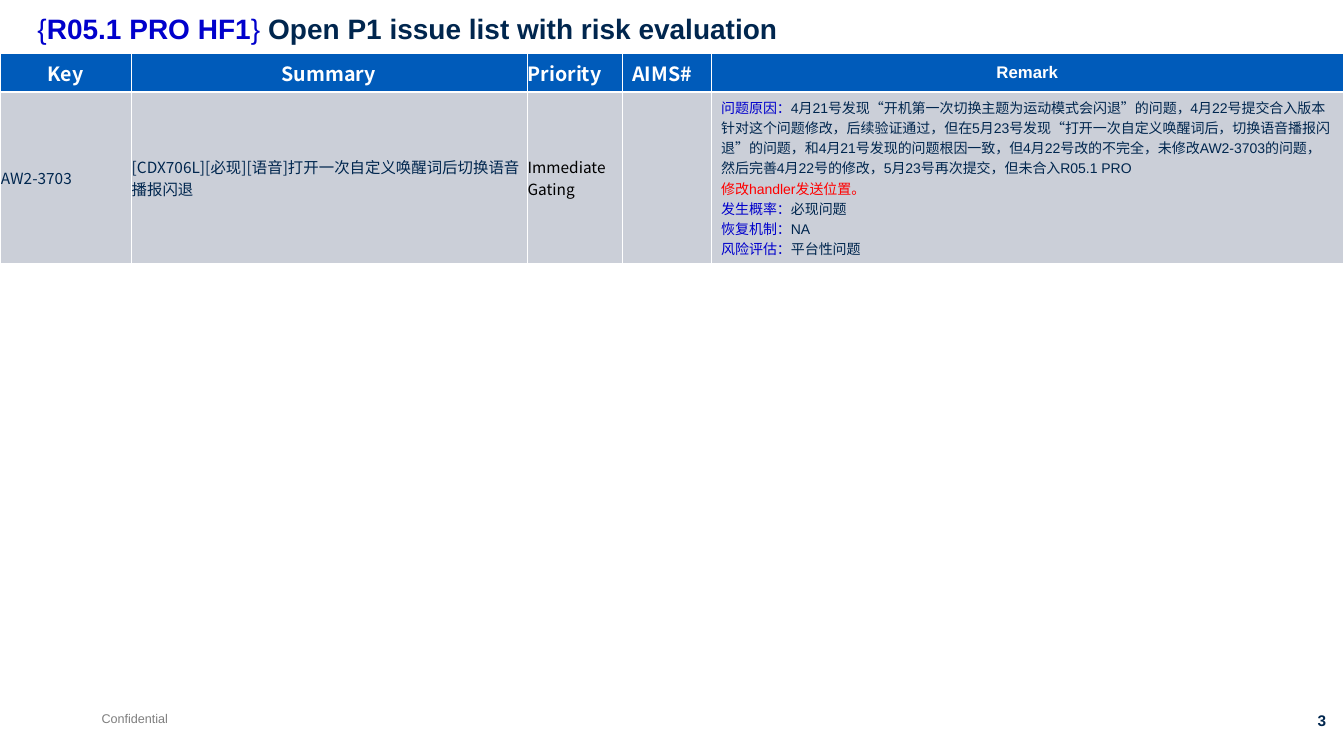
from lxml import etree
from pptx import Presentation
from pptx import util as u
from pptx.dml.color import RGBColor
from pptx.enum import text
from pptx.oxml import ns

NAVY, BLUE, WHITE, RED = "00264E", "0000CC", "FFFFFF", "FF0000"
HEADER_FILL, ROW_FILL = "005BBA", "CBCFD8"
SANS, CJK = "Arial", "Noto Sans CJK SC"
LEFT, CENTER, RIGHT = text.PP_ALIGN.LEFT, text.PP_ALIGN.CENTER, text.PP_ALIGN.RIGHT

COLUMN_WIDTHS = [3.3, 9.98, 2.41, 2.24, 15.93]
ROW_HEIGHTS = [0.94, 3.66]
NARROW, WIDE = 0.02, 0.25
HEADINGS = [
    ("Key", CENTER, NARROW, CJK, 14),
    ("Summary", CENTER, NARROW, CJK, 14),
    ("Priority", LEFT, NARROW, CJK, 14),
    ("AIMS#", LEFT, WIDE, CJK, 14),
    ("Remark", CENTER, WIDE, SANS, 12),
]
ISSUE = [
    ("AW2-3703", NAVY),
    ("[CDX706L][必现][语音]打开一次自定义唤醒词后切换语音播报闪退", NAVY),
    ("Immediate Gating", "000000"),
]
CAUSE = (
    "4月21号发现“开机第一次切换主题为运动模式会闪退”的问题，4月22号提交合入版本针对这个问题修改，"
    "后续验证通过，但在5月23号发现“打开一次自定义唤醒词后，切换语音播报闪退”的问题，"
    "和4月21号发现的问题根因一致，但4月22号改的不完全，未修改AW2-3703的问题，"
    "然后完善4月22号的修改，5月23号再次提交，但未合入R05.1 PRO"
)
LABEL = {"color": BLUE, "font": CJK}
REMARK = [
    [("问题原因：", LABEL), (CAUSE, {})],
    [("修改handler发送位置。", {"color": RED})],
    [("发生概率：", LABEL), ("必现问题", {})],
    [("恢复机制：", LABEL), ("NA", {})],
    [("风险评估：", LABEL), ("平台性问题", {})],
]


def rgb(value):
    """Turn a hex string into a colour."""
    return RGBColor.from_string(value)


def write(frame, content, align=LEFT, spacing=None, **base):
    """Fill a frame with a string or with paragraphs of (text, format) runs."""
    lines = [[(content, {})]] if isinstance(content, str) else content
    for index, line in enumerate(lines):
        paragraph = frame.add_paragraph() if index else frame.paragraphs[0]
        paragraph.alignment = align
        paragraph.line_spacing = spacing
        for words, changes in line:
            look = {"font": SANS, "color": NAVY, "bold": False, **base, **changes}
            run = paragraph.add_run()
            run.text = words
            run.font.size = u.Pt(look["size"])
            run.font.bold = look["bold"]
            run.font.color.rgb = rgb(look["color"])
            run.font.name = look["font"]
            east_asian = etree.SubElement(run.font._element, ns.qn("a:ea"))
            east_asian.set("typeface", CJK)


def set_borders(cell, **widths):
    """Draw white cell borders with the given widths in points."""
    properties = cell._tc.get_or_add_tcPr()
    for index, side in enumerate("LRTB"):
        line = etree.Element(ns.qn(f"a:ln{side}"), w=str(u.Pt(widths.get(side, 0.45))))
        fill = etree.SubElement(line, ns.qn("a:solidFill"))
        etree.SubElement(fill, ns.qn("a:srgbClr"), val=WHITE)
        properties.insert(index, line)


def style_cell(cell, fill, margin, anchor=text.MSO_ANCHOR.MIDDLE, **borders):
    """Set the fill, side margins, anchor and borders of a cell."""
    cell.fill.solid()
    cell.fill.fore_color.rgb = rgb(fill)
    cell.margin_left = cell.margin_right = u.Cm(margin)
    cell.vertical_anchor = anchor
    set_borders(cell, **borders)


def add_title(slide, left, top, width, height):
    """Place the slide title in the given box."""
    title = slide.shapes.title
    title.left, title.top, title.width, title.height = map(u.Cm, (left, top, width, height))
    frame = title.text_frame
    frame.vertical_anchor = text.MSO_ANCHOR.TOP
    frame.auto_size = text.MSO_AUTO_SIZE.NONE
    write(frame, [[
        ("{", {}),
        ("R05.1 PRO HF1", {"bold": True}),
        ("} ", {}),
        ("Open P1 issue list with risk evaluation", {"bold": True, "color": NAVY}),
    ]], size=20, color=BLUE, spacing=0.9)


def add_issue_table(slide, left, top):
    """Place the issue table with its header and its one issue."""
    box = map(u.Cm, (left, top, sum(COLUMN_WIDTHS), sum(ROW_HEIGHTS)))
    table = slide.shapes.add_table(len(ROW_HEIGHTS), len(COLUMN_WIDTHS), *box).table
    table.first_row = table.horz_banding = False
    for column, width in zip(table.columns, COLUMN_WIDTHS):
        column.width = u.Cm(width)
    for row, height in zip(table.rows, ROW_HEIGHTS):
        row.height = u.Cm(height)
    for index, (heading, align, margin, font, size) in enumerate(HEADINGS):
        header, entry = table.cell(0, index), table.cell(1, index)
        style_cell(header, HEADER_FILL, margin, B=1.47)
        write(header.text_frame, heading, align, font=font, size=size, color=WHITE, bold=True)
        style_cell(entry, ROW_FILL, margin, T=1.47)
    for index, (words, color) in enumerate(ISSUE):
        write(table.cell(1, index).text_frame, words, font=CJK, size=11, color=color)
    remark = table.cell(1, len(HEADINGS) - 1)
    remark.vertical_anchor = text.MSO_ANCHOR.TOP
    write(remark.text_frame, REMARK, size=10)


def add_footer(slide, left, top, width, height, words, **look):
    """Place one footer text in the given box."""
    frame = slide.shapes.add_textbox(*map(u.Cm, (left, top, width, height))).text_frame
    frame.word_wrap = False
    write(frame, words, **look)


def main():
    """Build and save the slide."""
    deck = Presentation()
    deck.slide_width, deck.slide_height = u.Cm(33.88), u.Cm(19.05)
    slide = deck.slides.add_slide(deck.slide_layouts[5])
    add_title(slide, 0.69, 0.25, 30.1, 1.6)
    add_issue_table(slide, 0, 1.35)
    add_footer(slide, 2.31, 17.8, 2.18, 0.64, "Confidential", size=9, color="7F7F7F")
    add_footer(slide, 31.3, 17.8, 2.38, 0.74, "3", size=11, bold=True, align=RIGHT)
    deck.save("out.pptx")


if __name__ == "__main__":
    main()
